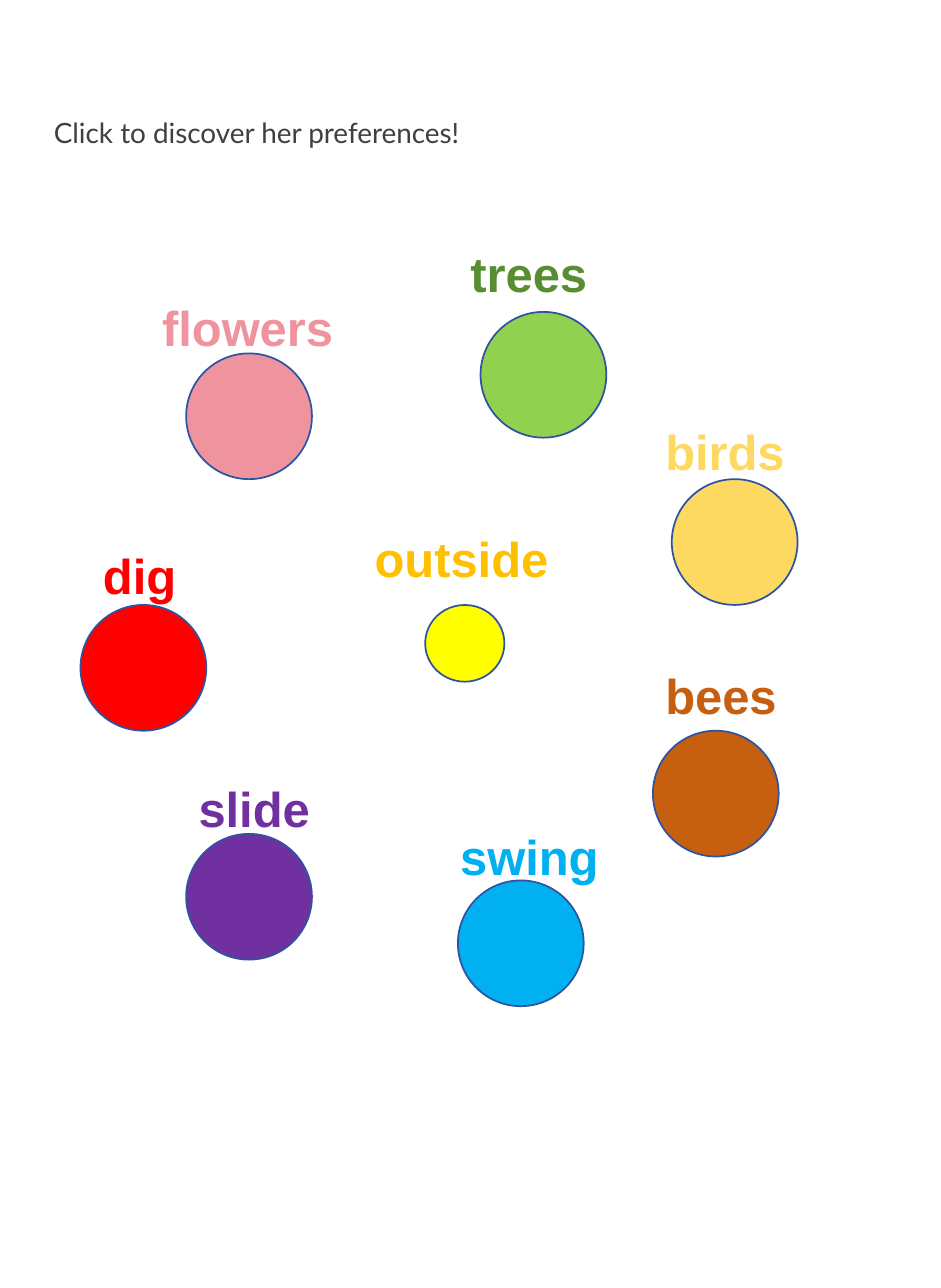
from pptx import Presentation
from pptx.dml.color import RGBColor
from pptx.enum import shapes, text
from pptx.util import Inches, Pt

GREY = RGBColor(0x40, 0x40, 0x40)
OUTLINE = RGBColor(0x2E, 0x54, 0xA1)
RED = RGBColor(0xFF, 0x00, 0x00)
PINK = RGBColor(0xEF, 0x94, 0x9E)
PURPLE = RGBColor(0x70, 0x30, 0xA0)
BROWN = RGBColor(0xC6, 0x5F, 0x10)
SAND = RGBColor(0xFE, 0xD9, 0x61)
BLUE = RGBColor(0x00, 0xB0, 0xF0)
LIME = RGBColor(0x92, 0xD0, 0x50)
GREEN = RGBColor(0x58, 0x8E, 0x31)
YELLOW = RGBColor(0xFF, 0xFF, 0x00)
GOLD = RGBColor(0xFF, 0xC0, 0x00)

# Word, circle (left, top, width, height), fill,
# label (offset from circle left and top, width, height), label colour
PREFERENCES = [
    ("dig", (0.64, 4.81, 1, 1), RED, (0.08, -0.52, 0.92, 0.52), RED),
    ("flowers", (1.48, 2.81, 1, 1), PINK, (-0.29, -0.49, 1.58, 0.33), PINK),
    ("slide", (1.48, 6.63, 1, 1), PURPLE, (0, -0.49, 1.17, 0.49), PURPLE),
    ("bees", (5.19, 5.81, 1, 1), BROWN, (0, -0.57, 1.32, 0.57), BROWN),
    ("birds", (5.34, 3.81, 1, 1), SAND, (-0.15, -0.51, 1.4, 0.52), SAND),
    ("swing", (3.64, 7, 1, 1), BLUE, (-0.08, -0.48, 1.33, 0.48), BLUE),
    ("trees", (3.82, 2.48, 1, 1), LIME, (-0.18, -0.59, 1.25, 0.58), GREEN),
    ("outside", (3.38, 4.81, 0.63, 0.61), YELLOW, (-0.5, -0.66, 1.63, 0.53), GOLD),
]


def add_text(page, area, words, font_name, size, colour, bold=False):
    box = page.shapes.add_textbox(*map(Inches, area))
    frame = box.text_frame
    frame.word_wrap = True
    frame.vertical_anchor = text.MSO_ANCHOR.TOP
    para = frame.paragraphs[0]
    para.text = words
    para.font.name = font_name
    para.font.size = Pt(size)
    para.font.bold = bold
    para.font.color.rgb = colour


def add_preference(page, area, word, fill, label, label_colour):
    # Circle
    circle = page.shapes.add_shape(shapes.MSO_SHAPE.OVAL, *map(Inches, area))
    circle.shadow.inherit = False
    circle.fill.solid()
    circle.fill.fore_color.rgb = fill
    circle.line.color.rgb = OUTLINE
    circle.line.width = Pt(1)

    # Label, placed from the circle's corner
    left, top = area[:2]
    shift_x, shift_y, width, height = label
    label_area = (left + shift_x, top + shift_y, width, height)
    add_text(page, label_area, word, "Arial", 28, label_colour, bold=True)


def main():
    deck = Presentation()
    deck.slide_width = Inches(7.48)
    deck.slide_height = Inches(10.24)
    page = deck.slides.add_slide(deck.slide_layouts[6])

    # Instruction
    add_text(page, (0.33, 0.87, 5.56, 0.37),
             "Click to discover her preferences!", "Lato", 16, GREY)

    # Labelled circles
    for word, area, fill, label, label_colour in PREFERENCES:
        add_preference(page, area, word, fill, label, label_colour)

    deck.save("out.pptx")


if __name__ == "__main__":
    main()
